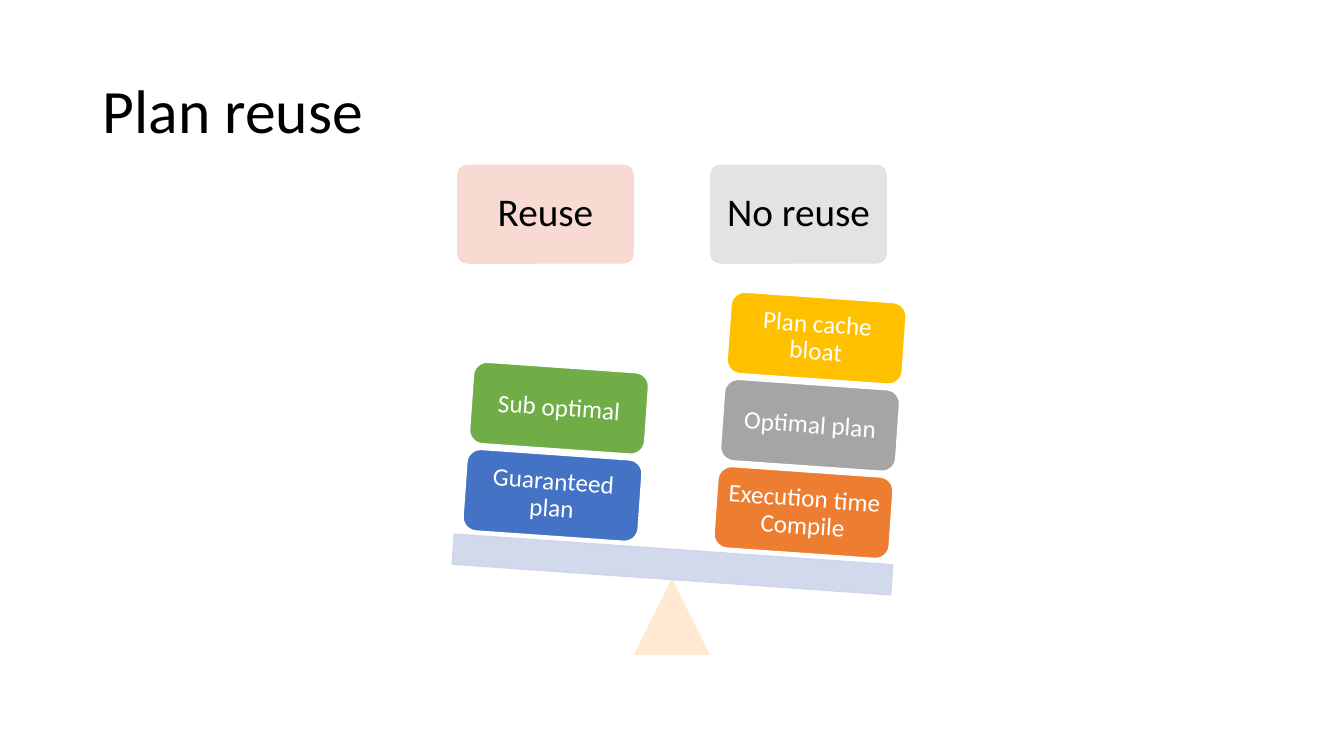
"""Build the "Plan reuse" slide: a balance weighing reuse against no reuse."""
from lxml.etree import SubElement
from pptx import Presentation
from pptx.dml.color import RGBColor
from pptx.enum.shapes import MSO_SHAPE as Shape
from pptx.enum.text import MSO_ANCHOR as Anchor, PP_ALIGN as Align
from pptx.oxml.ns import qn
from pptx.util import Inches, Pt

COLORS = {
    "black": "000000", "white": "FFFFFF", "pink": "F8D7CE", "silver": "E1E1E1",
    "cream": "FFE8CC", "lavender": "CFD5EA", "orange": "ED7D31", "gray": "A5A5A5",
    "gold": "FFC000", "blue": "4472C4", "green": "70AD47",
}
TITLE = "Plan reuse"
SIDES = [
    {"header": ("Reuse", "pink"), "header_left": 4.54, "base": (4.61, 4.51),
     "blocks": [("Guaranteed plan", "blue"), ("Sub optimal", "green")]},
    {"header": ("No reuse", "silver"), "header_left": 7.05, "base": (7.1, 4.68),
     "blocks": [("Execution time Compile", "orange"), ("Optimal plan", "gray"),
                ("Plan cache bloat", "gold")]},
]
FONT = "Calibri"
TILT = 4
HEADER_TOP, HEADER_SIZE = 1.64, (1.74, 0.97)
BLOCK_SIZE, STACK_STEP = (1.74, 0.81), (0.065, -0.865)
FULCRUM = (6.3, 5.76, 0.73, 0.73)
BEAM = (4.49, 5.45, 4.36, 0.3)


def rgb(name):
    return RGBColor.from_string(COLORS[name])


def add_part(slide, kind, box, color, line=None, tilt=0):
    """Add a filled shape; without its own line colour it is slightly transparent."""
    shape = slide.shapes.add_shape(kind, *map(Inches, box))
    shape.shadow.inherit = False
    shape.rotation = tilt
    shape.fill.solid()
    shape.fill.fore_color.rgb = rgb(color)
    shape.line.color.rgb = rgb(line or color)
    shape.line.width = Pt(1)
    if not line:
        for color_element in shape._element.spPr.iter(qn("a:srgbClr")):
            SubElement(color_element, qn("a:alpha"), val="90000")
    return shape


def write(shape, text, size, color, inset):
    frame = shape.text_frame
    frame.word_wrap = True
    frame.vertical_anchor = Anchor.MIDDLE
    frame.margin_left = frame.margin_right = Inches(inset)
    frame.margin_top = frame.margin_bottom = Inches(inset)
    paragraph = frame.paragraphs[0]
    paragraph.text = text
    paragraph.alignment = Align.CENTER
    style(paragraph, size, color)


def style(paragraph, size, color):
    paragraph.line_spacing = 0.9
    paragraph.font.name = FONT
    paragraph.font.size = Pt(size)
    paragraph.font.color.rgb = rgb(color)


def add_title(slide):
    title = slide.shapes.title
    title.left, title.top, title.width, title.height = map(Inches, (0.92, 0.4, 11.5, 1.45))
    title.text_frame.text = TITLE
    title.text_frame.vertical_anchor = Anchor.MIDDLE
    paragraph = title.text_frame.paragraphs[0]
    paragraph.alignment = Align.LEFT
    style(paragraph, 44, "black")


def add_side(slide, side):
    text, color = side["header"]
    header = add_part(slide, Shape.ROUNDED_RECTANGLE,
                      (side["header_left"], HEADER_TOP, *HEADER_SIZE), color)
    header.adjustments[0] = 0.1
    write(header, text, 28, "black", 0.12)
    for level, (text, color) in enumerate(side["blocks"]):
        corner = [start + level * step for start, step in zip(side["base"], STACK_STEP)]
        block = add_part(slide, Shape.ROUNDED_RECTANGLE, (*corner, *BLOCK_SIZE),
                         color, "white", TILT)
        write(block, text, 18, "white", 0.07)


def main():
    presentation = Presentation()
    presentation.slide_width, presentation.slide_height = Inches(13.33), Inches(7.5)
    slide = presentation.slides.add_slide(presentation.slide_layouts.get_by_name("Title Only"))
    add_title(slide)
    add_part(slide, Shape.ISOSCELES_TRIANGLE, FULCRUM, "cream")
    add_part(slide, Shape.RECTANGLE, BEAM, "lavender", tilt=TILT)
    for side in SIDES:
        add_side(slide, side)
    presentation.save("out.pptx")


if __name__ == "__main__":
    main()
